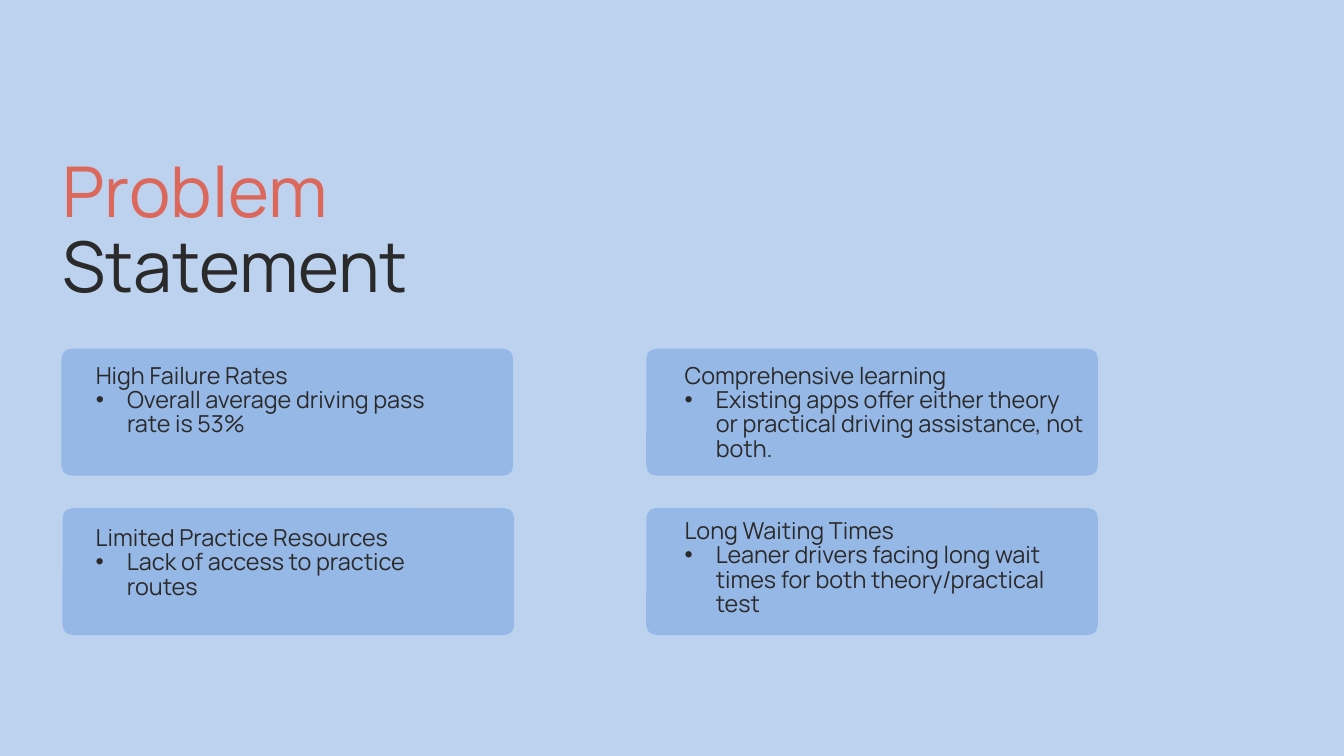
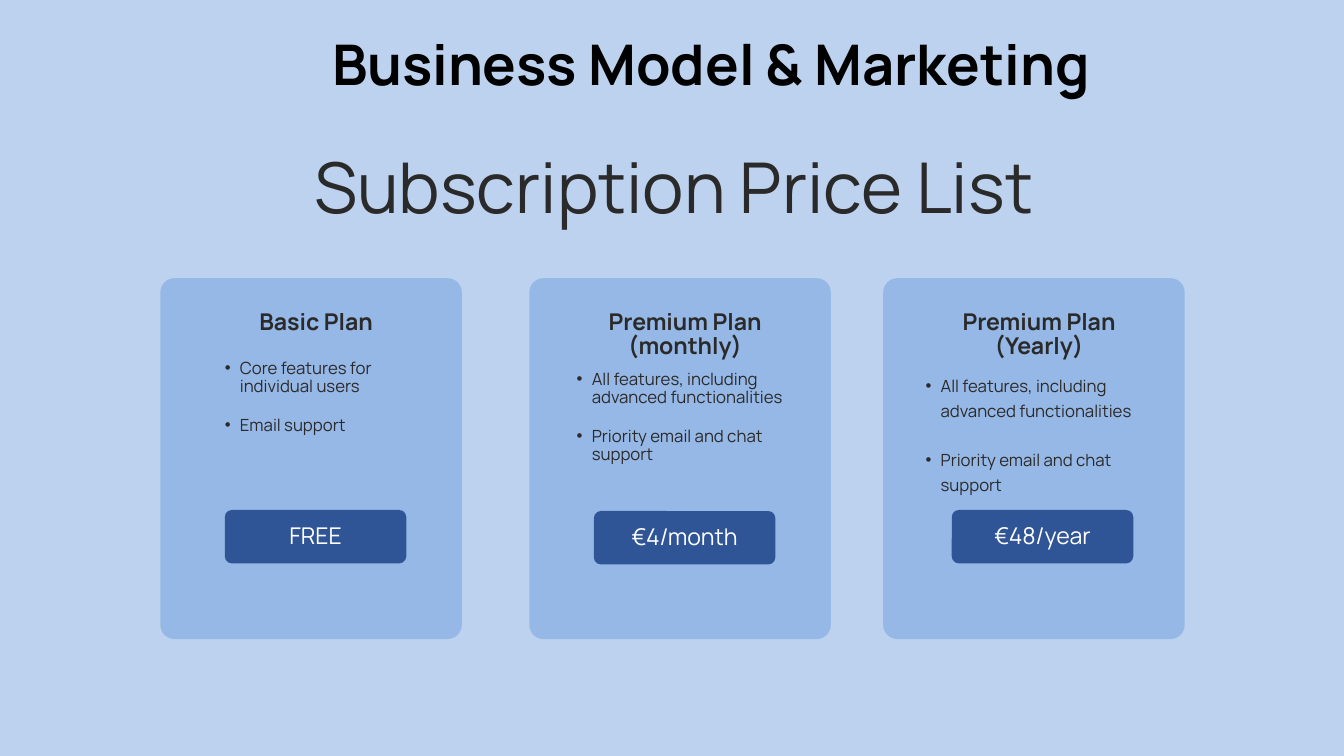
from lxml.etree import SubElement
from pptx import Presentation
from pptx.dml.color import RGBColor
from pptx.enum.shapes import MSO_SHAPE
from pptx.enum.text import MSO_ANCHOR, MSO_AUTO_SIZE, PP_ALIGN
from pptx.oxml.ns import qn
from pptx.util import Inches, Pt

SKY = RGBColor(0xBC, 0xD2, 0xEF)
PANEL = RGBColor(0x96, 0xB8, 0xE6)
NAVY = RGBColor(0x2F, 0x55, 0x97)
CORAL = RGBColor(0xDC, 0x68, 0x5C)
INK = RGBColor(0x2B, 0x2A, 0x2A)
BLACK = RGBColor(0, 0, 0)
WHITE = RGBColor(0xFF, 0xFF, 0xFF)
FONT = "Manrope"
HEAD = Pt(53.5)
BODY = Pt(17.3)

ISSUES = [
    (0.61, 3.46, 0.14, 0.16, 3.81, "High Failure Rates",
     "Overall average driving pass rate is 53%"),
    (6.41, 3.46, 0.18, 0.16, 4.16, "Comprehensive learning",
     "Existing apps offer either theory or practical driving assistance, not both."),
    (0.62, 5.04, 0.13, 0.19, 3.57, "Limited Practice Resources",
     "Lack of access to practice routes"),
    (6.41, 5.04, 0.18, 0.12, 4.16, "Long Waiting Times",
     "Leaner drivers facing long wait times for both theory/practical test"),
]

PERKS = ["All features, including advanced functionalities",
         "Priority email and chat support"]
PLANS = [
    (1.59, "Basic Plan", ["Core features for individual users", "Email support"],
     (0.49, 0.81, 2.1), 0.9, 14.7, "FREE", (0.64, 2.3)),
    (5.25, "Premium Plan (monthly)", PERKS,
     (0.32, 0.92, 2.43), 0.9, 14.7, "€4/month", (0.64, 2.31)),
    (8.76, "Premium Plan (Yearly)", PERKS,
     (0.27, 0.92, 2.46), Pt(17.7), 17.7, "€48/year", (0.68, 2.3)),
]


def add_line(frame, text, size, color=INK, bold=False, align=PP_ALIGN.LEFT,
             pitch=BODY, left=0, hang=0, gap=0):
    """Add one paragraph, bulleted when it has a hanging indent."""
    para = frame.paragraphs[0]
    if para.runs:
        para = frame.add_paragraph()
    props = para._p.get_or_add_pPr()
    props.set("marL", str(Inches(left)))
    props.set("indent", str(-Inches(hang)))
    if hang:
        SubElement(props, qn("a:buFont")).set("typeface", "Arial")
        SubElement(props, qn("a:buChar")).set("char", "•")
    para.alignment = align
    para.line_spacing = pitch
    para.space_before = Pt(gap)
    run = para.add_run()
    run.text = text
    font = run.font
    font.name, font.size, font.bold = FONT, Pt(size), bold
    font.color.rgb = color


def set_frame(shape, pad=0.0, anchor=MSO_ANCHOR.TOP):
    """Set wrapping, margins and anchor, and return the text frame."""
    frame = shape.text_frame
    frame.word_wrap = True
    frame.auto_size = MSO_AUTO_SIZE.NONE
    frame.vertical_anchor = anchor
    frame.margin_left = frame.margin_right = Inches(pad)
    frame.margin_top = frame.margin_bottom = Inches(pad / 2)
    return frame


def add_text(slide, x, y, w, h):
    """Add a text box without margins and return its frame."""
    return set_frame(slide.shapes.add_textbox(
        Inches(x), Inches(y), Inches(w), Inches(h)))


def set_title(slide, x, y, w, h, **style):
    """Move the title placeholder and return its frame."""
    title = slide.shapes.title
    title.left, title.top = Inches(x), Inches(y)
    title.width, title.height = Inches(w), Inches(h)
    return set_frame(title, **style)


def add_panel(slide, x, y, w, h, fill, curve):
    """Add a plain rounded panel with the given corner radius."""
    panel = slide.shapes.add_shape(
        MSO_SHAPE.ROUNDED_RECTANGLE, Inches(x), Inches(y), Inches(w), Inches(h))
    panel.adjustments[0] = curve / min(w, h)
    panel.shadow.inherit = False
    panel.fill.solid()
    panel.fill.fore_color.rgb = fill
    panel.line.fill.background()
    return panel


def add_issue(slide, x, y, dx, dy, w, head, note):
    """Place one problem card with its heading and bullet."""
    add_panel(slide, x, y, 4.48, 1.26, PANEL, 0.1)
    frame = add_text(slide, x + dx, y + dy, w, 1)
    add_line(frame, head, 16.7, left=0.2)
    add_line(frame, note, 16.7, left=0.51, hang=0.31)


def add_plan(slide, x, y, head, perks, box, pitch, gap, price, spot):
    """Place one plan card with heading, perks and price."""
    add_panel(slide, x, y, 2.99, 3.58, PANEL, 0.14)
    frame = add_text(slide, x + 0.68, y + 0.32, 1.73, 0.48)
    add_line(frame, head, 16.5, bold=True, align=PP_ALIGN.CENTER)
    dx, dy, w = box
    frame = add_text(slide, x + dx, y + dy, w, 1.25)
    for rank, perk in enumerate(perks):
        add_line(frame, perk, 12, pitch=pitch, left=0.3, hang=0.15,
                 gap=gap if rank else 0)
    dx, dy = spot
    pill = add_panel(slide, x + dx, y + dy, 1.8, 0.53, NAVY, 0.07)
    frame = set_frame(pill, anchor=MSO_ANCHOR.MIDDLE)
    add_line(frame, price, 16.5, WHITE, align=PP_ALIGN.CENTER)


def add_problem(slide):
    """Build the problem statement slide."""
    frame = set_title(slide, 0.62, 1.55, 4.05, 1.52)
    add_line(frame, "Problem", 50, CORAL, pitch=HEAD)
    add_line(frame, "Statement", 50, pitch=HEAD)
    for issue in ISSUES:
        add_issue(slide, *issue)


def add_prices(slide):
    """Build the subscription price slide."""
    frame = set_title(slide, 1.3, 0.23, 11.5, 0.79, pad=0.1,
                      anchor=MSO_ANCHOR.BOTTOM)
    add_line(frame, "Business Model & Marketing", 40, BLACK, bold=True,
             align=PP_ALIGN.CENTER, pitch=0.9)
    frame = add_text(slide, 2.57, 1.51, 8.23, 0.76)
    add_line(frame, "Subscription Price List", 50, align=PP_ALIGN.CENTER,
             pitch=HEAD)
    for x, *plan in PLANS:
        add_plan(slide, x, 2.76, *plan)


def main():
    """Build and save the deck."""
    deck = Presentation()
    deck.slide_width, deck.slide_height = Inches(13.33), Inches(7.5)
    back = deck.slide_master.background.fill
    back.solid()
    back.fore_color.rgb = SKY
    for build in (add_problem, add_prices):
        build(deck.slides.add_slide(deck.slide_layouts[5]))
    deck.save("out.pptx")


if __name__ == "__main__":
    main()
